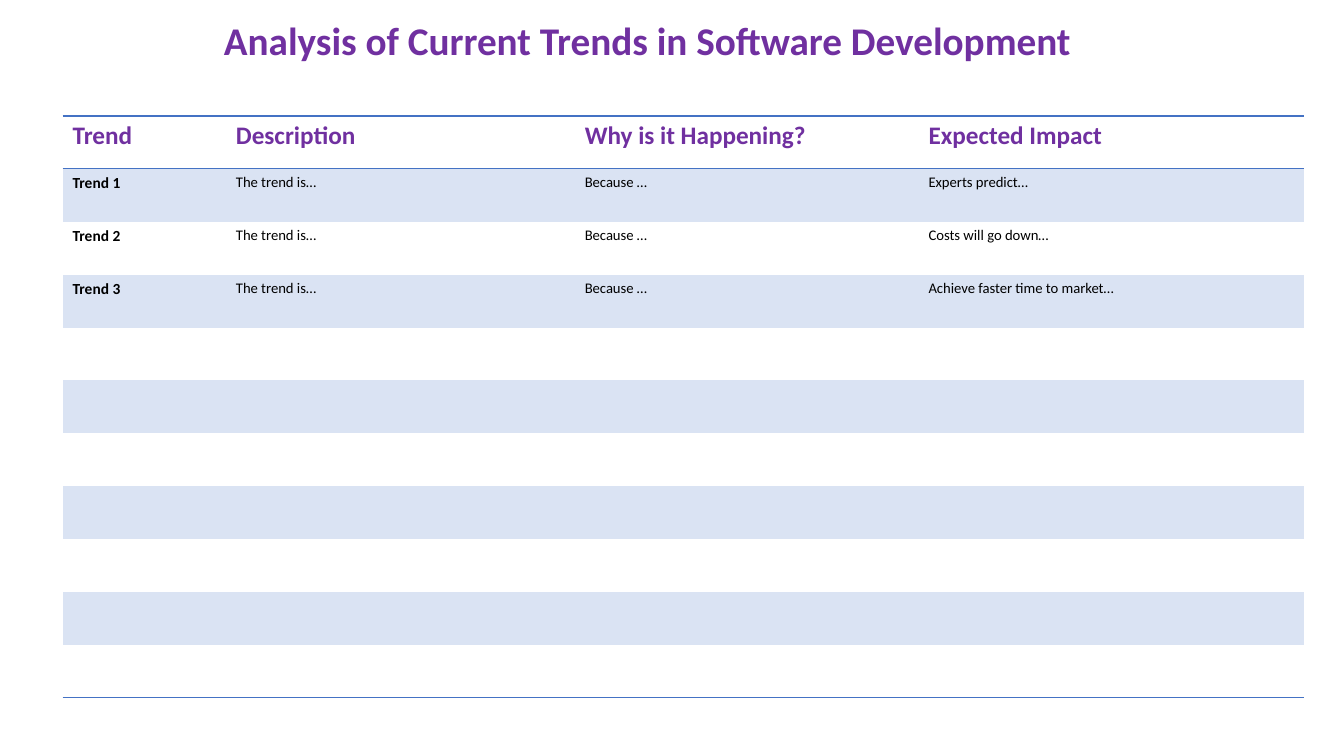
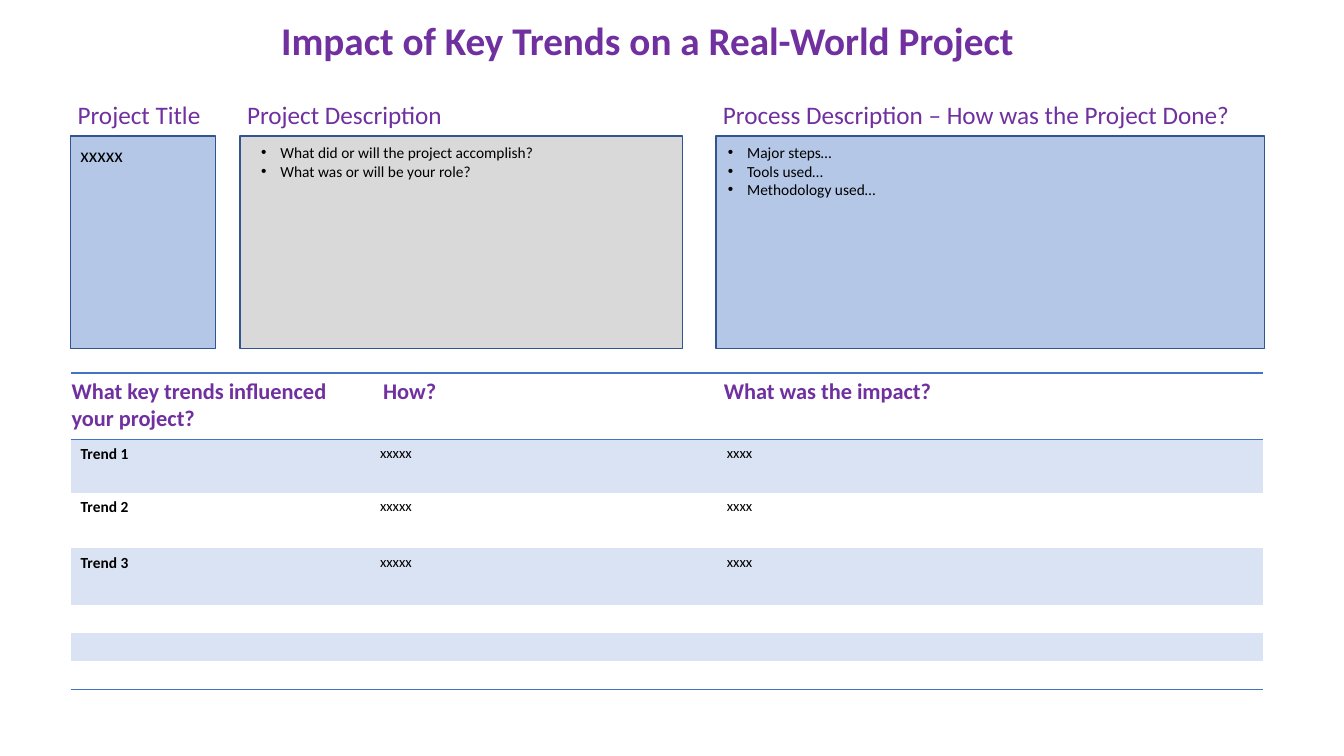
"""Build two slides: software trend analysis and its impact on a project."""
from pptx import Presentation
from pptx.dml.color import RGBColor
from pptx.enum.shapes import MSO_SHAPE
from pptx.enum.text import MSO_ANCHOR, PP_ALIGN
from pptx.oxml.ns import qn
from pptx.util import Inches, Pt
from lxml import etree

RECTANGLE = MSO_SHAPE.RECTANGLE
TOP = MSO_ANCHOR.TOP
LEFT, CENTER = PP_ALIGN.LEFT, PP_ALIGN.CENTER

PURPLE = RGBColor(0x70, 0x30, 0xA0)
BLACK = RGBColor(0x00, 0x00, 0x00)
RULE_BLUE = RGBColor(0x44, 0x72, 0xC4)
BAND_BLUE = RGBColor(0xDA, 0xE3, 0xF3)
PANEL_BLUE = RGBColor(0xB4, 0xC7, 0xE7)
PANEL_GREY = RGBColor(0xD9, 0xD9, 0xD9)
PANEL_EDGE = RGBColor(0x32, 0x54, 0x91)

FONT = "Calibri"
PLAIN_TABLE = "{2D5ABB26-0587-4C30-8999-92F81FD0307C}"
INSET = 0.1
PANEL_TOP, PANEL_HEIGHT, CAPTION_HEIGHT = 1.35, 2.11, 0.41

TRENDS = {
    "title": "Analysis of Current Trends in Software Development",
    "panels": [],
    "table": {
        "at": (0.62, 1.15),
        "columns": [1.62, 3.46, 3.41, 3.82],
        "rows": [0.525] * 11,
        "header_size": 18,
        "header_insets": [INSET] * 4,
        "cells": [
            ("Trend", "Description", "Why is it Happening?", "Expected Impact"),
            ("Trend 1", "The trend is…", "Because …", "Experts predict…"),
            ("Trend 2", "The trend is…", "Because …", "Costs will go down…"),
            ("Trend 3", "The trend is…", "Because …", "Achieve faster time to market…"),
        ],
    },
}

PROJECT = {
    "title": "Impact of Key Trends on a Real-World Project",
    "panels": [
        {"caption": "Project Title", "left": 0.7, "width": 1.44, "fill": PANEL_BLUE,
         "inset": 0.1, "size": 14, "bulleted": False, "lines": ["xxxxx"]},
        {"caption": "Project Description", "left": 2.38, "width": 4.39, "fill": PANEL_GREY,
         "inset": 0.21, "size": 11, "bulleted": True,
         "lines": ["What did or will the project accomplish?",
                   "What was or will be your role?"]},
        {"caption": "Process Description – How was the Project Done?", "left": 7.1,
         "width": 5.44, "fill": PANEL_BLUE, "inset": 0.12, "size": 11, "bulleted": True,
         "lines": ["Major steps…", "Tools used…", "Methodology used…"]},
    ],
    "table": {
        "at": (0.7, 3.7),
        "columns": [2.97, 3.44, 5.42],
        "rows": [0.66, 0.53, 0.55, 0.56] + [0.28] * 3,
        "header_size": 16,
        "header_insets": [0.01, 0.13, 0.07],
        "cells": [
            ("What key trends influenced your project?", "How?", "What was the impact?"),
            ("Trend 1", "xxxxx", "xxxx"),
            ("Trend 2", "xxxxx", "xxxx"),
            ("Trend 3", "xxxxx", "xxxx"),
        ],
    },
}


def style_text(frame, size, color, bold=False, align=LEFT):
    for paragraph in frame.paragraphs:
        paragraph.alignment = align
        for run in paragraph.runs:
            font = run.font
            font.name, font.size, font.bold = FONT, Pt(size), bold
            font.color.rgb = color


def add_label(slide, text, box, size, bold=False, align=LEFT, inset=INSET):
    frame = slide.shapes.add_textbox(*map(Inches, box)).text_frame
    frame.word_wrap = True
    frame.margin_left = Inches(inset)
    frame.text = text
    style_text(frame, size, PURPLE, bold, align)


def add_bullet(paragraph):
    properties = paragraph._p.get_or_add_pPr()
    properties.set("marL", str(Inches(0.19)))
    properties.set("indent", str(-Inches(0.19)))
    etree.SubElement(properties, qn("a:buFont")).set("typeface", "Arial")
    etree.SubElement(properties, qn("a:buChar")).set("char", "•")


def add_panel(slide, panel):
    left, width = panel["left"], panel["width"]
    add_label(slide, panel["caption"],
              (left, PANEL_TOP - CAPTION_HEIGHT, width, CAPTION_HEIGHT), 18, inset=0.07)
    body = slide.shapes.add_shape(
        RECTANGLE, *map(Inches, (left, PANEL_TOP, width, PANEL_HEIGHT)))
    body.shadow.inherit = False
    body.fill.solid()
    body.fill.fore_color.rgb = panel["fill"]
    body.line.color.rgb = PANEL_EDGE
    body.line.width = Pt(1)
    frame = body.text_frame
    frame.word_wrap = True
    frame.vertical_anchor = TOP
    frame.margin_left, frame.margin_top = Inches(panel["inset"]), Inches(0.07)
    frame.text = "\n".join(panel["lines"])
    style_text(frame, panel["size"], BLACK)
    if panel["bulleted"]:
        for paragraph in frame.paragraphs:
            add_bullet(paragraph)


def add_rule(cell, side):
    rule = etree.SubElement(cell._tc.get_or_add_tcPr(), qn(f"a:{side}"), w=str(Pt(1)))
    fill = etree.SubElement(rule, qn("a:solidFill"))
    etree.SubElement(fill, qn("a:srgbClr"), val=str(RULE_BLUE))


def fill_cell(cell, text, size, color, bold):
    cell.text = text
    style_text(cell.text_frame, size, color, bold)
    if not text:
        paragraph = cell.text_frame.paragraphs[0]._p
        etree.SubElement(paragraph, qn("a:endParaRPr"), sz=str(int(size * 100)))


def add_trend_table(slide, content):
    columns, rows, cells = content["columns"], content["rows"], content["cells"]
    box = (*content["at"], sum(columns), sum(rows))
    table = slide.shapes.add_table(len(rows), len(columns), *map(Inches, box)).table
    table._tbl.tblPr.find(qn("a:tableStyleId")).text = PLAIN_TABLE
    table.first_row = table.horz_banding = False
    for column, width in zip(table.columns, columns):
        column.width = Inches(width)
    for r, height in enumerate(rows):
        table.rows[r].height = Inches(height)
        for c in range(len(columns)):
            cell = table.cell(r, c)
            text = cells[r][c] if r < len(cells) else ""
            if r == 0:
                fill_cell(cell, text, content["header_size"], PURPLE, True)
                cell.margin_left = Inches(content["header_insets"][c])
                add_rule(cell, "lnT")
            else:
                fill_cell(cell, text, 11 if c == 0 and text else 10.5, BLACK, c == 0)
            if r in (0, len(rows) - 1):
                add_rule(cell, "lnB")
            if r % 2:
                cell.fill.solid()
                cell.fill.fore_color.rgb = BAND_BLUE
            else:
                cell.fill.background()


def main():
    deck = Presentation()
    deck.slide_width, deck.slide_height = Inches(13.33), Inches(7.5)
    for content in (TRENDS, PROJECT):
        slide = deck.slides.add_slide(deck.slide_layouts[6])
        add_label(slide, content["title"], (0.92, 0.11, 11, 0.57), 28, True, CENTER)
        for panel in content["panels"]:
            add_panel(slide, panel)
        add_trend_table(slide, content["table"])
    deck.save("out.pptx")


if __name__ == "__main__":
    main()
